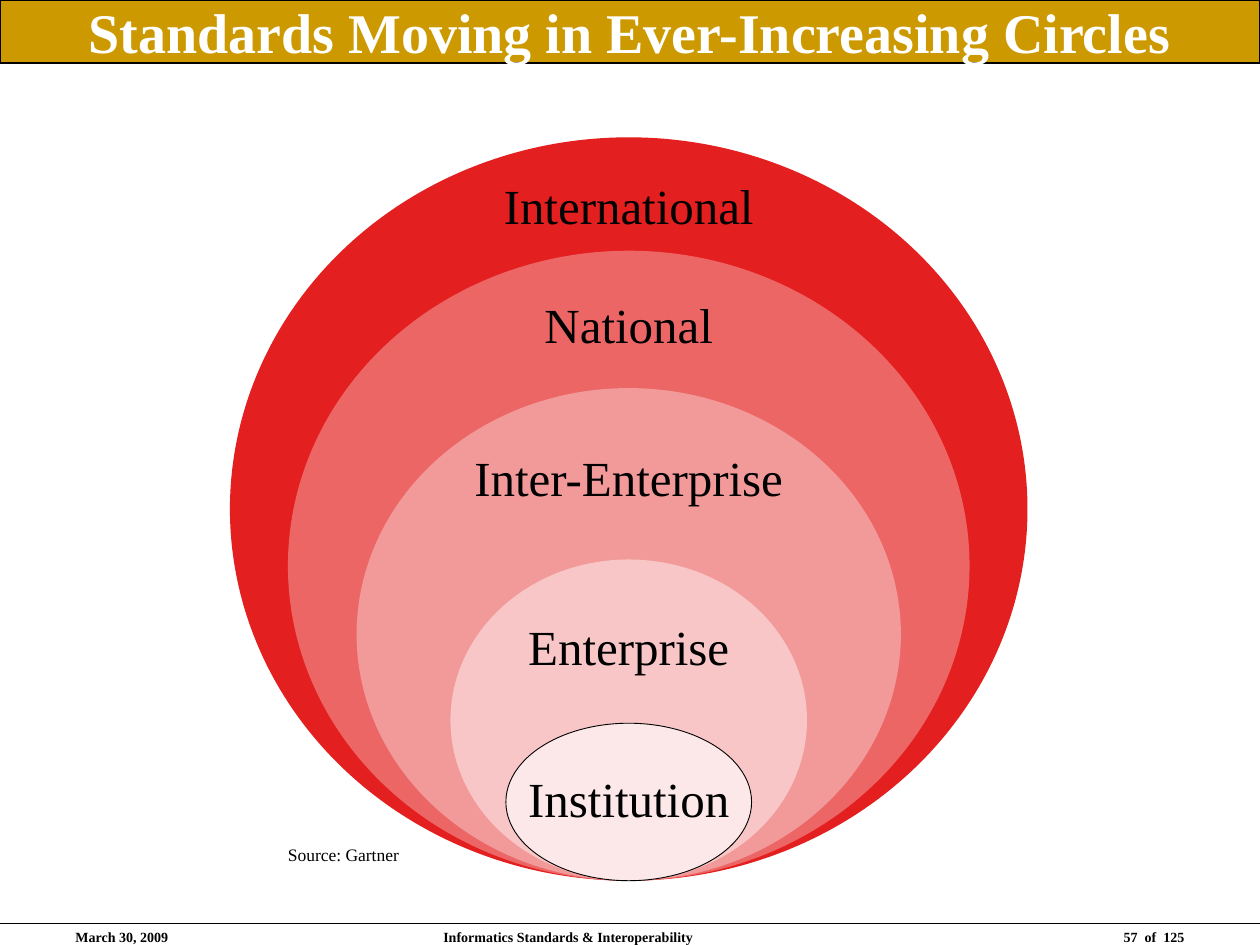
from lxml import etree
from pptx import Presentation
from pptx.dml.color import RGBColor
from pptx.enum.shapes import MSO_CONNECTOR, MSO_SHAPE
from pptx.enum.text import MSO_ANCHOR, MSO_AUTO_SIZE, PP_ALIGN
from pptx.oxml.ns import qn
from pptx.util import Inches, Pt

STRAIGHT = MSO_CONNECTOR.STRAIGHT
ELLIPSE = MSO_SHAPE.OVAL
MIDDLE, TOP = MSO_ANCHOR.MIDDLE, MSO_ANCHOR.TOP
LEFT, CENTER, RIGHT = PP_ALIGN.LEFT, PP_ALIGN.CENTER, PP_ALIGN.RIGHT
NO_FIT, GROW = MSO_AUTO_SIZE.NONE, MSO_AUTO_SIZE.SHAPE_TO_FIT_TEXT

BLACK = RGBColor(0x00, 0x00, 0x00)
WHITE = RGBColor(0xFF, 0xFF, 0xFF)
GOLD = RGBColor(0xCC, 0x99, 0x00)
RED = RGBColor(0xE4, 0x1F, 0x1F)
CORAL = RGBColor(0xEC, 0x66, 0x66)
SALMON = RGBColor(0xF2, 0x9A, 0x9A)
PINK = RGBColor(0xF8, 0xC6, 0xC6)
BLUSH = RGBColor(0xFC, 0xE8, 0xE8)

AXIS, BASE = 4.99, 6.99
LABEL_HEIGHT = 0.57
FOOTER_TOP, FOOTER_HEIGHT = 7.32, 0.17

RINGS = [
    ("International", RED, 6.33, 5.9, 1.34, 3.7, None),
    ("National", CORAL, 5.41, 5, 2.29, 1.54, None),
    ("Inter-Enterprise", SALMON, 4.32, 3.91, 3.5, 2.66, None),
    ("Enterprise", PINK, 2.83, 2.55, 4.84, 1.8, None),
    ("Institution", BLUSH, 1.95, 1.25, 6.05, 1.8, 0.5),
]
FOOTERS = [
    ("March 30, 2009", 0.5, 2.33, LEFT),
    ("Informatics Standards & Interoperability", 3.42, 3.17, LEFT),
    ("57  of  125", 7.17, 2.33, RIGHT),
]


def write(frame, text, size=28, color=BLACK, bold=False, align=CENTER,
          anchor=TOP, wrap=True, fit=NO_FIT, font="Times New Roman"):
    """Fill a text frame with one formatted paragraph."""
    frame.word_wrap = wrap
    frame.auto_size = fit
    frame.vertical_anchor = anchor
    para = frame.paragraphs[0]
    para.alignment = align
    span = para.add_run()
    span.text = text
    span.font.name = font
    span.font.size = Pt(size)
    span.font.bold = bold
    span.font.color.rgb = color


class CirclesPage:
    """Hold the current slide and draw its elements in one style."""

    def __init__(self, deck):
        self.page = deck.slides.add_slide(deck.slide_layouts[5])

    def paint(self, shape, fill, line_width=None):
        shape.fill.solid()
        shape.fill.fore_color.rgb = fill
        if line_width is None:
            shape.line.fill.background()
        else:
            shape.line.color.rgb = BLACK
            shape.line.width = Pt(line_width)

    def title(self, text):
        banner = self.page.shapes.title
        banner.left, banner.top = Inches(0), Inches(0)
        banner.width, banner.height = Inches(10), Inches(0.5)
        self.paint(banner, GOLD, 0.75)
        write(banner.text_frame, text, size=32, color=WHITE, bold=True, anchor=MIDDLE)

    def rule(self, top):
        line = self.page.shapes.add_connector(
            STRAIGHT, Inches(0), Inches(top), Inches(10), Inches(top))
        line.line.color.rgb = BLACK
        line.line.width = Pt(0.75)
        etree.SubElement(line._element.spPr, qn("a:effectLst"))

    def text(self, text, left, top, width, height, shapes=None, **style):
        box = (shapes or self.page.shapes).add_textbox(
            Inches(left), Inches(top), Inches(width), Inches(height))
        write(box.text_frame, text, **style)

    def ring(self, name, fill, width, height, label_top, label_width, line_width):
        shapes = self.page.shapes.add_group_shape().shapes
        circle = shapes.add_shape(
            ELLIPSE, Inches(AXIS - width / 2), Inches(BASE - height),
            Inches(width), Inches(height))
        circle.shadow.inherit = False
        self.paint(circle, fill, line_width)
        self.text(name, AXIS - label_width / 2, label_top, label_width,
                  LABEL_HEIGHT, shapes=shapes, wrap=False, fit=GROW)


def main():
    deck = Presentation()
    deck.slide_width, deck.slide_height = Inches(10), Inches(7.5)
    page = CirclesPage(deck)
    page.rule(7.33)
    for text, left, width, align in FOOTERS:
        page.text(text, left, FOOTER_TOP, width, FOOTER_HEIGHT,
                  size=8, bold=True, align=align)
    for ring in RINGS:
        page.ring(*ring)
    page.title("Standards Moving in Ever-Increasing Circles")
    page.text("Source: Gartner", 2.18, 6.65, 1.09, 0.27,
              size=10, wrap=False, fit=GROW)
    deck.save("out.pptx")


if __name__ == "__main__":
    main()
